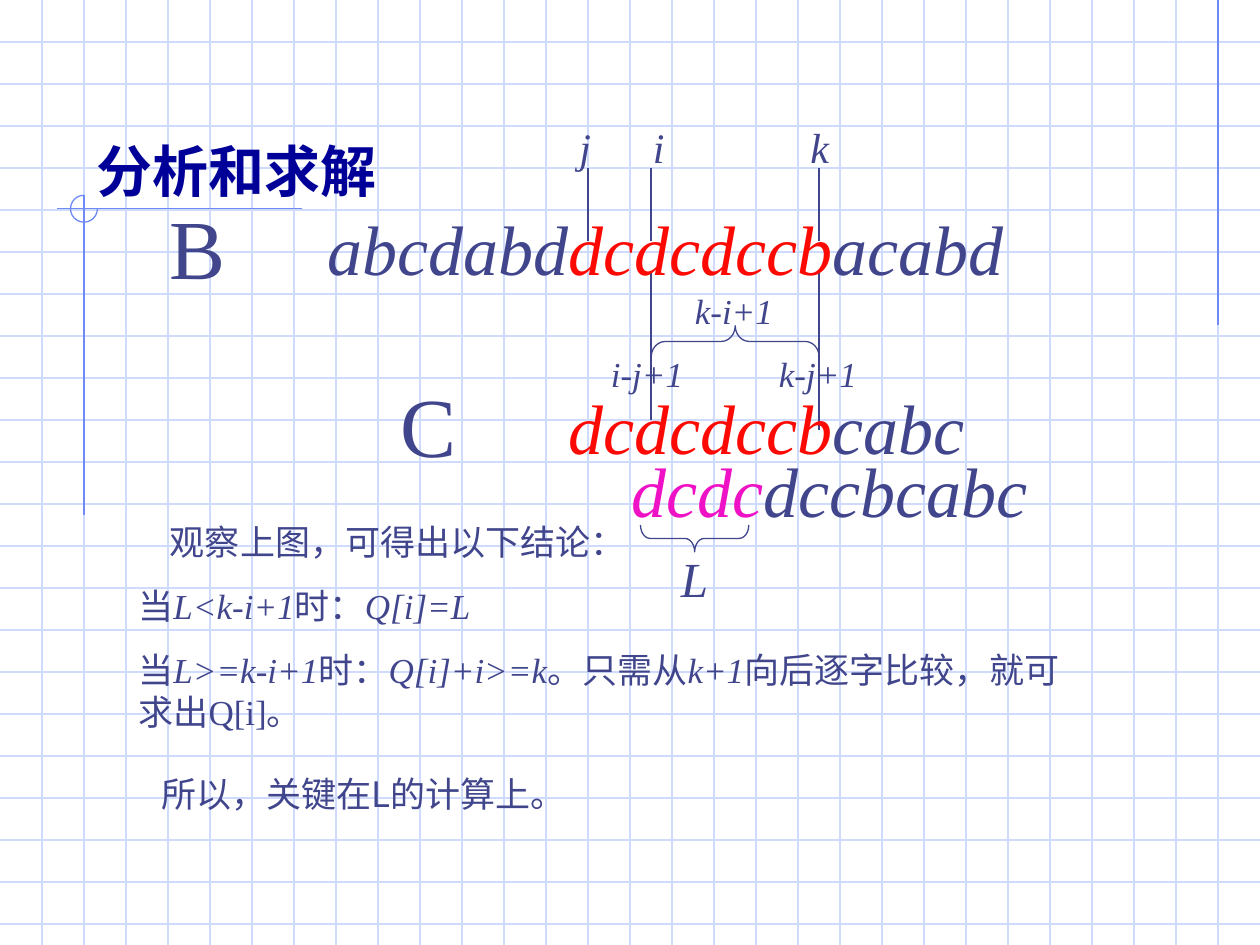
from lxml.etree import SubElement
from pptx import Presentation
from pptx.dml.color import RGBColor
from pptx.enum.shapes import MSO_CONNECTOR, MSO_SHAPE
from pptx.enum.text import MSO_ANCHOR, MSO_AUTO_SIZE, PP_ALIGN
from pptx.oxml.ns import qn
from pptx.util import Inches, Pt

INK, RED, PINK = "40458C", "FD0903", "EF11C5"
PALE, BLUE, NAVY = "CFDBFD", "6F89F7", "000099"
SERIF, SANS = "Times New Roman", "Noto Sans CJK SC"
COLS, ROWS = 30, 22.5

prs = Presentation()
prs.slide_width, prs.slide_height = Inches(10), Inches(7.5)
cell = prs.slide_width / COLS
s = prs.slides.add_slide(prs.slide_layouts[5])


def add_line(x1, y1, x2, y2, color):
    ends = [round(v * cell) for v in (x1, y1, x2, y2)]
    c = s.shapes.add_connector(MSO_CONNECTOR.STRAIGHT, *ends)
    c.line.color.rgb = RGBColor.from_string(color)
    c.line.width = Pt(0.75)
    SubElement(c._element.spPr, qn("a:effectLst"))


def add_run(p, text, size, color=INK, italic=False, font=SERIF, bold=False):
    r = p.add_run()
    r.text = text
    r.font.size = Pt(size)
    r.font.italic = italic
    r.font.bold = bold
    r.font.color.rgb = RGBColor.from_string(color)
    r.font.name = font
    SubElement(r._r.get_or_add_rPr(), qn("a:ea")).set("typeface", SANS)


for row in range(1, 23):
    add_line(0, row, COLS, row, PALE)
for col in range(1, COLS):
    add_line(col, 0, col, ROWS, PALE)
add_line(29, 0, 29, 7.75, BLUE)
add_line(7.2, 4.97, 1.35, 4.97, BLUE)
add_line(2, 4.65, 2, 12.27, BLUE)

title = s.shapes.title
title.left, title.top = round(2 * cell), round(1.25 * cell)
title.width, title.height = round(25.83 * cell), round(3.75 * cell)
tf = title.text_frame
tf.auto_size = MSO_AUTO_SIZE.NONE
tf.vertical_anchor = MSO_ANCHOR.BOTTOM
p = tf.paragraphs[0]
p.alignment = PP_ALIGN.LEFT
add_run(p, "分析和求解", 32, NAVY, font="Lato", bold=True)
s.shapes._spTree.append(title._element)

for x, y1, y2 in [(14, 4, 5.75), (15.5, 4, 5.75), (19.5, 4, 5.75),
                  (15.5, 6.5, 8.25), (15.5, 8.25, 10),
                  (19.5, 6.5, 8.25), (19.5, 8, 10.25)]:
    add_line(x, y1, x, y2, INK)

curves = [
    (MSO_SHAPE.ARC, 1.68, 4.65, 0.64, 0.64, 0, (0, 162), BLUE),
    (MSO_SHAPE.LEFT_BRACE, 17.13, 6.13, 0.75, 4, 90, (0.44, 0.5), INK),
    (MSO_SHAPE.LEFT_BRACE, 16.22, 11.53, 0.64, 2.58, 270, (0.36, 0.5), INK),
]
for kind, x, y, w, h, turn, adjust, color in curves:
    sp = s.shapes.add_shape(kind, *[round(v * cell) for v in (x, y, w, h)])
    sp.rotation = turn
    sp.adjustments[0], sp.adjustments[1] = adjust
    sp.fill.background()
    sp.line.color.rgb = RGBColor.from_string(color)
    sp.line.width = Pt(0.75)
    sp.shadow.inherit = False

conclusions = [
    [("观察", INK, False, SANS), ("上图，可得出以下结论：",)],
    [("当",), ("L<k-i+1", INK, True), ("时：",), ("Q[i]=L", INK, True)],
    [("当",), ("L>=k-i+1", INK, True), ("时：",), ("Q[i]+i>=k", INK, True),
     ("。只需从",), ("k+1", INK, True), ("向后逐字比较，就可\t\t求出Q[i]。",)],
]
texts = [
    (3, 12.25, 23.25, 5.33, 20, 0.25, conclusions),
    (3, 18.25, 23.25, 1.33, 20, 0.18,
     [[("所以，关键在L的计算上。", INK, False, SANS)]]),
    (3.75, 4.5, 3.25, 2.7, 48, 0, [[("B",)]]),
    (9.25, 8.75, 3.25, 2.7, 48, 0, [[("C",)]]),
    (7.5, 4.75, 17.25, 2.3, 40, 0,
     [[("abcdabd", INK, True), ("dcdcdccb", RED, True), ("acabd", INK, True)]]),
    (13.25, 9, 14, 2.3, 40, 0,
     [[("dcdcdccb", RED, True), ("cabc", INK, True)]]),
    (14.75, 10.5, 14, 2.3, 40, 0,
     [[("dcdc", PINK, True), ("dccbcabc", INK, True)]]),
    (15.92, 12.9, 1.5, 1.7, 28, 0, [[("L", INK, True)]]),
    (13.5, 2.75, 2.25, 1.5, 24, 0, [[("j", INK, True)]]),
    (15.25, 2.75, 1.75, 1.5, 24, 0, [[("i", INK, True)]]),
    (19, 2.75, 1.75, 1.5, 24, 0, [[("k", INK, True)]]),
    (14.25, 8.25, 3, 1.33, 20, 0, [[("i-j+1", INK, True)]]),
    (18.25, 8.25, 3.5, 1.33, 20, 0, [[("k-j+1", INK, True)]]),
    (16.25, 6.75, 4.25, 1.33, 20, 0, [[("k-i+1", INK, True)]]),
]
for x, y, w, h, size, indent, paragraphs in texts:
    tf = s.shapes.add_textbox(*[round(v * cell) for v in (x, y, w, h)]).text_frame
    tf.word_wrap = True
    tf.auto_size = MSO_AUTO_SIZE.SHAPE_TO_FIT_TEXT
    for n, runs in enumerate(paragraphs):
        p = tf.add_paragraph() if n else tf.paragraphs[0]
        p.space_before = Pt(size * 0.625)
        if indent and n == 0:
            p._p.get_or_add_pPr().set("indent", str(Inches(indent)))
        for text, *style in runs:
            add_run(p, text, size, *style)

prs.save("out.pptx")
